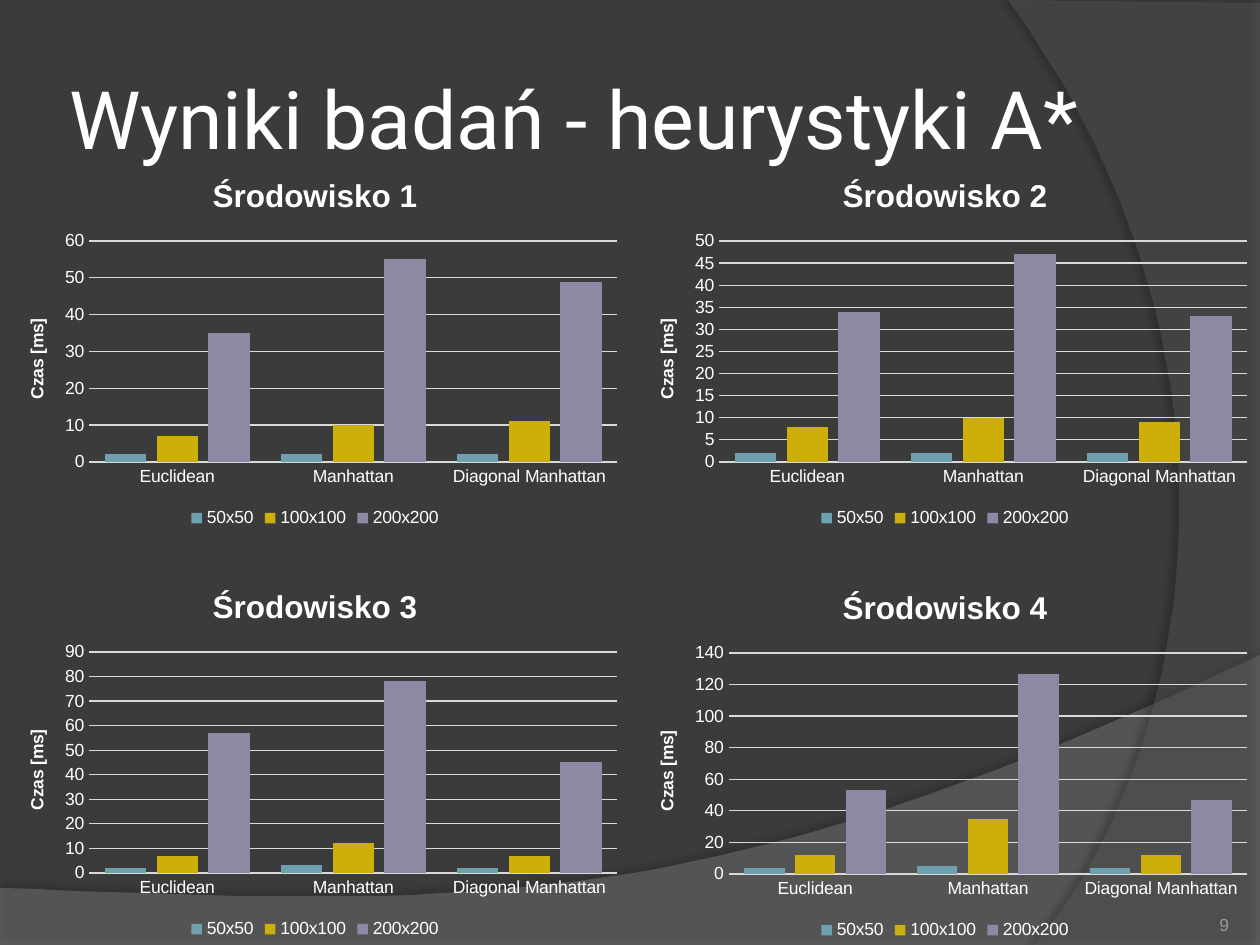
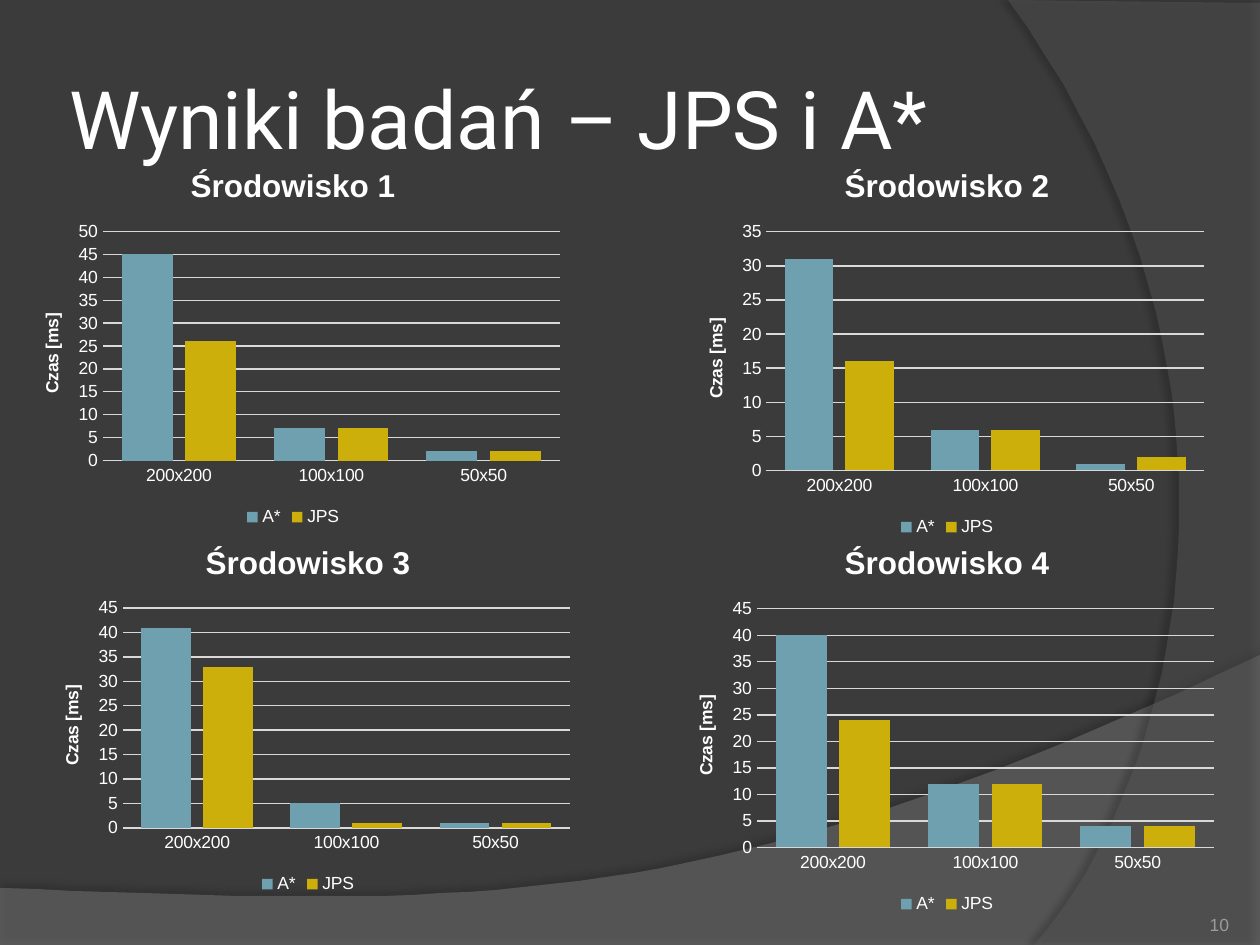
"""Build two slides of clustered column charts comparing path-finding times."""
from lxml import etree
from pptx import Presentation
from pptx import util as u
from pptx.chart import data as chart_data
from pptx.dml import color as dml
from pptx.enum import chart as charts, text
from pptx.oxml import ns

SCALE = 914400 / 126
COLORS = {
    "background": "3B3B3B", "wave": "7F7F7F", "arc": "5E5E5E",
    "text": "FFFFFF", "number": "9D9B9A", "grid": "D9D9D9",
}
SERIES_COLORS = ["6EA0B0", "CCAF0A", "8D89A4"]
BANDS = [
    {"color": "wave", "alpha": 45, "shadow": (35, 4, 3.5, 270),
     "corners": [(0, 888), (0, 945), (1260, 945), (1260, 655)],
     "curve": [(1260, 655), (704, 919), (493, 906), (0, 888)]},
    {"color": "arc", "alpha": 40, "shadow": (45, 4, 4, 180),
     "corners": [(1260, 3), (1260, 945), (1034, 945)],
     "curve": [(1034, 945), (1178, 780), (1283, 378), (1008, 0)]},
]
SLIDES = [
    {"title": "Wyniki badań - heurystyki A*", "number": "9",
     "categories": ["Euclidean", "Manhattan", "Diagonal Manhattan"],
     "series": ["50x50", "100x100", "200x200"],
     "charts": [
         ((0, 155, 630, 378), 60, 10, [(2, 2, 2), (7, 10, 11), (35, 55, 49)]),
         ((630, 155, 630, 378), 50, 5, [(2, 2, 2), (8, 10, 9), (34, 47, 33)]),
         ((0, 566, 630, 378), 90, 10, [(2, 3, 2), (7, 12, 7), (57, 78, 45)]),
         ((630, 567, 630, 378), 140, 20, [(4, 5, 4), (12, 35, 12), (53, 127, 47)]),
     ]},
    {"title": "Wyniki badań – JPS i A*", "number": "10",
     "categories": ["200x200", "100x100", "50x50"],
     "series": ["A*", "JPS"],
     "charts": [
         ((15, 145, 556, 387), 50, 5, [(45, 7, 2), (26, 7, 2)]),
         ((679, 145, 536, 397), 35, 5, [(31, 6, 1), (16, 6, 2)]),
         ((35, 522, 546, 377), 45, 5, [(41, 5, 1), (33, 1, 1)]),
         ((669, 522, 556, 397), 45, 5, [(40, 12, 4), (24, 12, 4)]),
     ]},
]


def px(*lengths):
    return [u.Emu(round(length * SCALE)) for length in lengths]


def style(font, name, size, color, bold=False):
    font.name, font.size, font.bold = name, u.Pt(size), bold
    font.color.rgb = dml.RGBColor.from_string(COLORS[color])


deck = Presentation()
deck.slide_width, deck.slide_height = px(1260, 945)
backdrop = deck.slide_master.background.fill
backdrop.solid()
backdrop.fore_color.rgb = dml.RGBColor.from_string(COLORS["background"])

for content in SLIDES:
    page = deck.slides.add_slide(deck.slide_layouts[5])
    title = page.shapes.title
    title.left, title.top, title.width, title.height = px(63, 38, 1029, 158)

    for band in BANDS:
        points = list(band["corners"])
        for step in range(1, 41):
            t = step / 40
            weights = ((1 - t) ** 3, 3 * t * (1 - t) ** 2, 3 * t * t * (1 - t), t ** 3)
            points.append(tuple(sum(w * p[axis] for w, p in zip(weights, band["curve"]))
                                for axis in (0, 1)))
        builder = page.shapes.build_freeform(*points[0], scale=SCALE)
        builder.add_line_segments(points[1:], close=True)
        shape = builder.convert_to_shape()
        shape.line.fill.background()
        shape.fill.solid()
        shape.fill.fore_color.rgb = dml.RGBColor.from_string(COLORS[band["color"]])
        tint = shape.element.spPr.find(".//" + ns.qn("a:solidFill") + "/" + ns.qn("a:srgbClr"))
        etree.SubElement(tint, ns.qn("a:alpha"), val=str(band["alpha"] * 1000))
        opacity, blur, distance, angle = band["shadow"]
        shape.shadow.inherit = False
        effects = shape.element.spPr.find(ns.qn("a:effectLst"))
        shadow = etree.SubElement(effects, ns.qn("a:outerShdw"), blurRad=str(u.Pt(blur)),
                                  dist=str(u.Pt(distance)), dir=str(angle * 60000),
                                  algn="ctr", rotWithShape="0")
        shade = etree.SubElement(shadow, ns.qn("a:srgbClr"), val="000000")
        etree.SubElement(shade, ns.qn("a:alpha"), val=str(opacity * 1000))
        title.element.addprevious(shape.element)

    number = page.shapes.add_textbox(*px(1124, 885, 105, 50))
    for box, words, inset, anchor, align, look in [
        (title, content["title"], 6, text.MSO_ANCHOR.MIDDLE, text.PP_ALIGN.LEFT,
         ("Roboto", 46, "text")),
        (number, content["number"], 0, text.MSO_ANCHOR.BOTTOM, text.PP_ALIGN.RIGHT,
         ("Arial", 10, "number")),
    ]:
        frame = box.text_frame
        frame.text = words
        frame.word_wrap, frame.auto_size = True, text.MSO_AUTO_SIZE.NONE
        frame.vertical_anchor = anchor
        (frame.margin_left, frame.margin_top,
         frame.margin_right, frame.margin_bottom) = px(*[inset] * 4)
        frame.paragraphs[0].alignment = align
        style(frame.paragraphs[0].font, *look)

    for index, (place, maximum, unit, rows) in enumerate(content["charts"], 1):
        data = chart_data.CategoryChartData()
        data.categories = content["categories"]
        for name, values in zip(content["series"], rows):
            data.add_series(name, values)
        chart = page.shapes.add_chart(
            charts.XL_CHART_TYPE.COLUMN_CLUSTERED, *px(*place), data).chart
        style(chart.font, "Arial", 10, "text")

        plot = chart.plots[0]
        plot.gap_width, plot.overlap, plot.vary_by_categories = 75, -25, False
        for series, color in zip(plot.series, SERIES_COLORS):
            series.format.fill.solid()
            series.format.fill.fore_color.rgb = dml.RGBColor.from_string(color)

        chart.has_legend = True
        chart.legend.position = charts.XL_LEGEND_POSITION.BOTTOM
        chart.legend.include_in_layout = False

        time_axis, category_axis = chart.value_axis, chart.category_axis
        time_axis.minimum_scale, time_axis.maximum_scale = 0, maximum
        time_axis.major_unit = unit
        time_axis.format.line.fill.background()
        for axis in (time_axis, category_axis):
            axis.major_tick_mark = charts.XL_TICK_MARK.NONE
        for line in (time_axis.major_gridlines.format.line, category_axis.format.line):
            line.width = u.Pt(0.75)
            line.color.rgb = dml.RGBColor.from_string(COLORS["grid"])

        for owner, caption, size in [(chart, f"Środowisko {index}", 18),
                                     (time_axis, "Czas [ms]", 10)]:
            owner.has_title = True
            heading = (owner.chart_title if owner is chart else owner.axis_title).text_frame
            heading.text = caption
            style(heading.paragraphs[0].font, "Arial", size, "text", bold=True)

deck.save("out.pptx")
